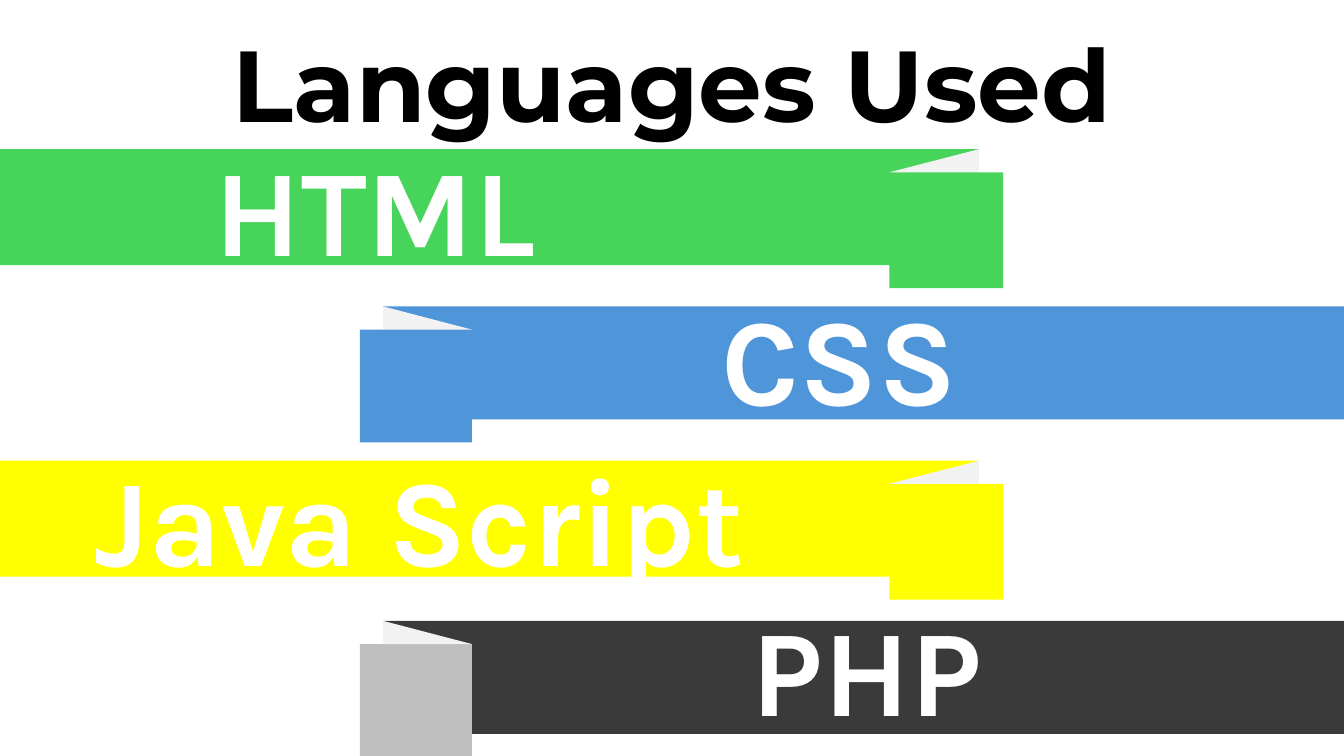
from pptx import Presentation
from pptx.dml.color import RGBColor
from pptx.enum.shapes import MSO_SHAPE
from pptx.enum.text import MSO_AUTO_SIZE, PP_ALIGN
from pptx.util import Inches, Pt

RECTANGLE = MSO_SHAPE.RECTANGLE
TRIANGLE = MSO_SHAPE.ISOSCELES_TRIANGLE
FIT_SHAPE = MSO_AUTO_SIZE.SHAPE_TO_FIT_TEXT
LEFT, CENTER = PP_ALIGN.LEFT, PP_ALIGN.CENTER

COLORS = {
    "black": "000000",
    "white": "FFFFFF",
    "green": "47D45A",
    "blue": "4E95D9",
    "yellow": "FFFF00",
    "charcoal": "3A3A3A",
    "gray": "BFBFBF",
    "fold": "F2F2F2",
}
SLIDE_WIDTH, SLIDE_HEIGHT = 13.33, 7.5
FOLD_HEIGHT = 0.23

# Each side: band left, band width, band height, tab left, tab width, fold left, fold width, fold apex
SIDES = {
    "left": (0, 9.71, 1.15, 8.82, 1.13, 8.82, 0.89, 1),
    "right": (3.8, 9.53, 1.12, 3.57, 1.11, 3.8, 0.88, 0),
}

# Each ribbon: label, side, top, band color, tab color, label left, label top, label width
RIBBONS = [
    ("HTML", "left", 1.48, "green", "green", 2.03, 1.27, 4.25),
    ("CSS", "right", 3.04, "blue", "blue", 7.06, 2.75, 6),
    ("Java Script", "left", 4.57, "yellow", "yellow", 0.84, 4.35, 7.8),
    ("PHP", "right", 6.16, "charcoal", "gray", 7.36, 5.84, 5.9),
]


def add_block(shapes, kind, left, top, width, height, color):
    """Add a flat filled shape without outline or shadow."""
    block = shapes.add_shape(kind, Inches(left), Inches(top), Inches(width), Inches(height))
    block.shadow.inherit = False
    block.fill.solid()
    block.fill.fore_color.rgb = RGBColor.from_string(COLORS[color])
    block.line.fill.background()
    return block


def add_label(shapes, text, left, top, width, height, font, size, color, align):
    """Add one line of bold text in a box that grows with it."""
    box = shapes.add_textbox(Inches(left), Inches(top), Inches(width), Inches(height))
    box.text_frame.word_wrap = True
    box.text_frame.auto_size = FIT_SHAPE
    para = box.text_frame.paragraphs[0]
    para.alignment = align
    span = para.add_run()
    span.text = text
    span.font.name = font
    span.font.size = Pt(size)
    span.font.bold = True
    span.font.color.rgb = RGBColor.from_string(COLORS[color])


def add_ribbon(page, label, side, top, band_color, tab_color, label_left, label_top, label_width):
    """Add a grouped ribbon with its band, folded tab and label."""
    band_left, band_width, height, tab_left, tab_width, fold_left, fold_width, apex = SIDES[side]
    shapes = page.shapes.add_group_shape().shapes
    add_block(shapes, RECTANGLE, band_left, top, band_width, height, band_color)
    add_block(shapes, RECTANGLE, tab_left, top + FOLD_HEIGHT, tab_width, height, tab_color)
    fold = add_block(shapes, TRIANGLE, fold_left, top, fold_width, FOLD_HEIGHT, "fold")
    fold.adjustments[0] = apex
    add_label(shapes, label, label_left, label_top, label_width, 1.58, "Karla", 88, "white", LEFT)


def main():
    """Build the slide of languages and save it."""
    deck = Presentation()
    deck.slide_width, deck.slide_height = Inches(SLIDE_WIDTH), Inches(SLIDE_HEIGHT)
    page = deck.slides.add_slide(deck.slide_layouts[6])
    add_label(page.shapes, "Languages Used", 0, 0.17, SLIDE_WIDTH, 1.31,
              "Montserrat", 72, "black", CENTER)
    for ribbon in RIBBONS:
        add_ribbon(page, *ribbon)
    deck.save("out.pptx")


if __name__ == "__main__":
    main()
